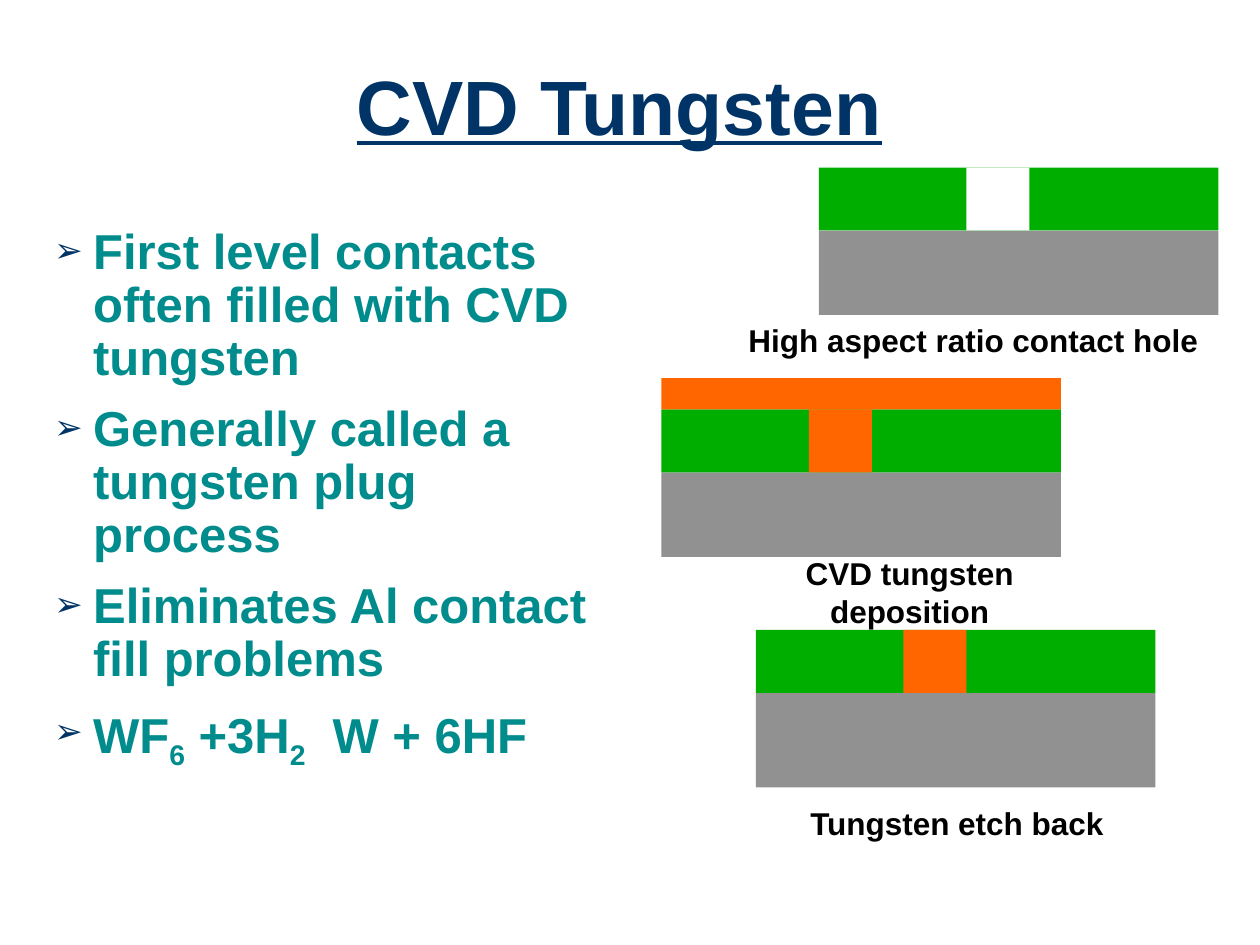
from pptx import Presentation
from pptx.dml.color import RGBColor
from pptx.enum.shapes import MSO_SHAPE as Shape
from pptx.enum.text import MSO_ANCHOR as Anchor, MSO_AUTO_SIZE as Fit, PP_ALIGN as Align
from pptx.oxml import parse_xml
from pptx.oxml.ns import nsdecls
from pptx.util import Inches, Pt

NAVY = RGBColor(0x00, 0x33, 0x66)
TEAL = RGBColor(0x00, 0x8C, 0x8C)
BLACK = RGBColor(0x00, 0x00, 0x00)
WHITE = RGBColor(0xFF, 0xFF, 0xFF)
GRAY = RGBColor(0x91, 0x91, 0x91)
GREEN = RGBColor(0x00, 0xAE, 0x00)
ORANGE = RGBColor(0xFF, 0x66, 0x00)

BULLET = (
    f'<a:buClr {nsdecls("a")}><a:srgbClr val="{NAVY}"/></a:buClr>',
    f'<a:buSzPct {nsdecls("a")} val="70000"/>',
    f'<a:buFont {nsdecls("a")} typeface="Arial"/>',
    f'<a:buChar {nsdecls("a")} char="➢"/>',
)

WIDE, OXIDE = 3.17, 0.5  # stack width, oxide thickness
HOLE, INSET = 0.5, 1.17  # hole width, distance from the left edge

# Each item is a list of (text, is subscript) runs
ITEMS = [
    [("First level contacts often filled with CVD tungsten", False)],
    [("Generally called a tungsten plug process", False)],
    [("Eliminates Al contact fill problems", False)],
    [("WF", False), ("6", True), (" +3H", False), ("2", True), ("  W + 6HF", False)],
]

# Left, oxide top, substrate height, hole colour, film thickness
STACKS = [
    (6.5, 1.33, 0.67, WHITE, 0),
    (5.25, 3.25, 0.67, ORANGE, 0.25),
    (6, 5, 0.75, ORANGE, 0),
]

# Text, left, top, width
LABELS = [
    ("High aspect ratio contact hole", 5.84, 2.5, 3.77),
    ("CVD tungsten deposition", 5.63, 4.5, 3.18),
    ("Tungsten etch back", 6.32, 6.33, 2.55),
]


class Deck:
    font = "Arial"

    def __init__(self):
        self.prs = Presentation()
        self.prs.slide_width, self.prs.slide_height = Inches(10), Inches(7.5)
        self.slide = self.prs.slides.add_slide(self.prs.slide_layouts[1])

    def place(self, shape, left, top, width, height):
        shape.left, shape.top = Inches(left), Inches(top)
        shape.width, shape.height = Inches(width), Inches(height)

    def run(self, para, text, size, color, line=False, sub=False):
        run = para.add_run()
        run.text = text
        font = run.font
        font.name, font.size, font.bold = self.font, Pt(size), True
        font.color.rgb = color
        if line:
            font.underline = True
        if sub:
            run._r.get_or_add_rPr().set("baseline", "-25000")

    def title(self, text, *box):
        shape = self.slide.shapes.title
        self.place(shape, *box)
        frame = shape.text_frame
        frame.auto_size, frame.vertical_anchor = Fit.NONE, Anchor.MIDDLE
        para = frame.paragraphs[0]
        para.alignment, para.line_spacing = Align.CENTER, 0.9
        self.run(para, text, 44, NAVY, line=True)

    def body(self, items, *box):
        shape = self.slide.placeholders[1]
        self.place(shape, *box)
        frame = shape.text_frame
        frame.auto_size = Fit.NONE
        for i, runs in enumerate(items):
            para = frame.add_paragraph() if i else frame.paragraphs[0]
            para.line_spacing, para.space_before = 0.9, Pt(10.5)
            props = para._p.get_or_add_pPr()
            props.set("marL", str(Inches(0.31)))
            props.set("indent", str(Inches(-0.31)))
            for xml in BULLET:
                props.append(parse_xml(xml))
            for text, sub in runs:
                self.run(para, text, 28, TEAL, sub=sub)

    def rect(self, color, *box):
        shape = self.slide.shapes.add_shape(Shape.RECTANGLE, *map(Inches, box))
        shape.shadow.inherit = False
        shape.fill.solid()
        shape.fill.fore_color.rgb = color
        shape.line.fill.background()

    def stack(self, left, top, base, plug, film):
        self.rect(GRAY, left, top + OXIDE, WIDE, base)
        self.rect(GREEN, left, top, WIDE, OXIDE)
        self.rect(plug, left + INSET, top, HOLE, OXIDE)
        if film:
            self.rect(ORANGE, left, top - film, WIDE, film)

    def label(self, text, left, top, width):
        box = self.slide.shapes.add_textbox(*map(Inches, (left, top, width, 0.4)))
        frame = box.text_frame
        frame.word_wrap, frame.auto_size = False, Fit.SHAPE_TO_FIT_TEXT
        frame.vertical_anchor = Anchor.MIDDLE
        para = frame.paragraphs[0]
        para.alignment = Align.CENTER
        self.run(para, text, 18, BLACK)


def main():
    deck = Deck()

    # Title and list
    deck.title("CVD Tungsten", 0.25, 0.25, 9.33, 1.25)
    deck.body(ITEMS, 0.33, 1.75, 4.58, 4.5)

    # Process steps and their captions
    for stack in STACKS:
        deck.stack(*stack)
    for label in LABELS:
        deck.label(*label)

    deck.prs.save("out.pptx")


if __name__ == "__main__":
    main()
